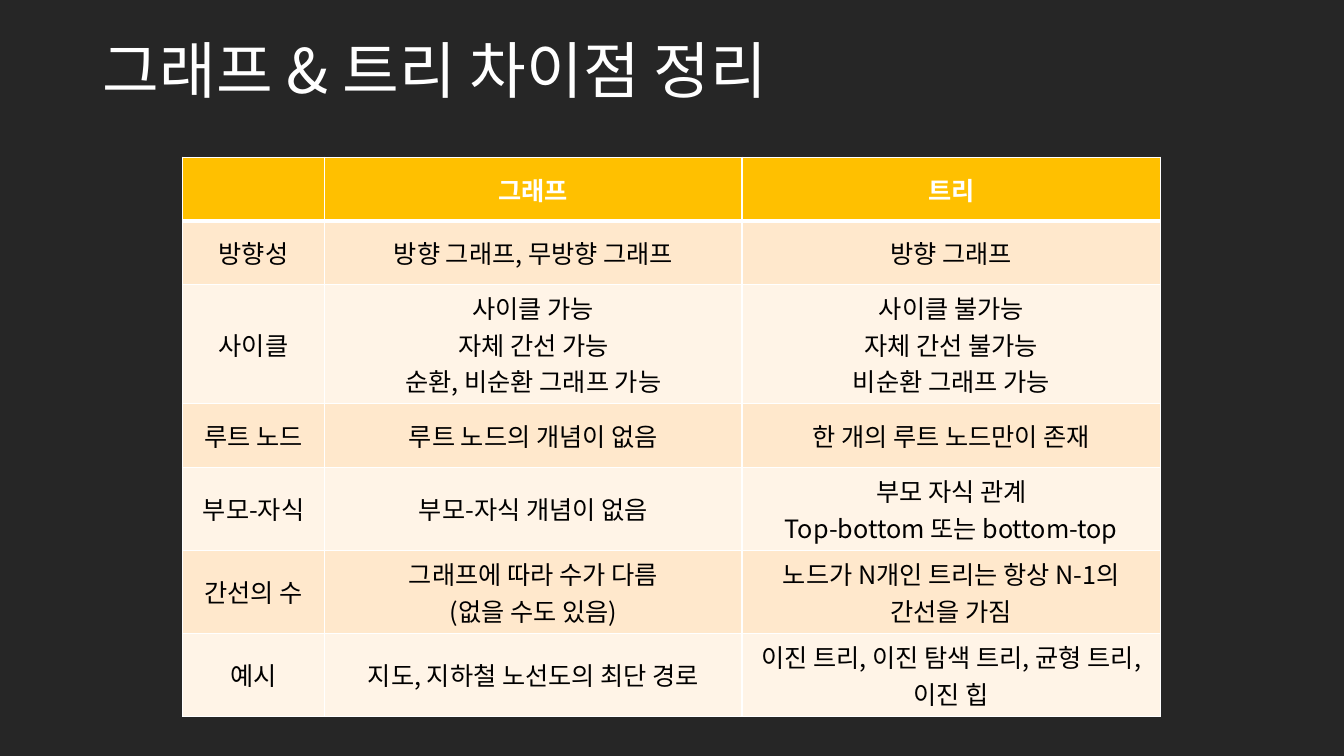
from lxml import etree
from pptx import Presentation
from pptx.dml.color import RGBColor
from pptx.enum.text import MSO_ANCHOR, PP_ALIGN
from pptx.oxml.ns import qn
from pptx.util import Inches, Pt

MIDDLE = MSO_ANCHOR.MIDDLE
LEFT, CENTER = PP_ALIGN.LEFT, PP_ALIGN.CENTER

FONT = "Noto Sans CJK KR"
BACKGROUND, WHITE, BLACK = "262626", "FFFFFF", "000000"
HEADER_FILL = "FFC000"
BAND_FILLS = ("FFF4E7", "FFE8CC")

TITLE = "그래프 & 트리 차이점 정리"
ROWS = [
    ("", "그래프", "트리"),
    ("방향성", "방향 그래프, 무방향 그래프", "방향 그래프"),
    ("사이클",
     "사이클 가능\n자체 간선 가능\n순환, 비순환 그래프 가능",
     "사이클 불가능\n자체 간선 불가능\n비순환 그래프 가능"),
    ("루트 노드", "루트 노드의 개념이 없음", "한 개의 루트 노드만이 존재"),
    ("부모-자식", "부모-자식 개념이 없음",
     "부모 자식 관계\nTop-bottom 또는 bottom-top"),
    ("간선의 수", "그래프에 따라 수가 다름\n(없을 수도 있음)",
     "노드가 N개인 트리는 항상 N-1의 간선을 가짐"),
    ("예시", "지도, 지하철 노선도의 최단 경로",
     "이진 트리, 이진 탐색 트리, 균형 트리, 이진 힙"),
]
COL_WIDTHS = (1.41, 4.14, 4.15)
ROW_HEIGHT = 0.63


def rgb(value):
    return RGBColor.from_string(value)


def write(tf, text, size=18, color=BLACK, bold=False, align=CENTER, spacing=None):
    """Fill a text frame, one paragraph per line of text."""
    tf.text = text
    for p in tf.paragraphs:
        p.alignment = align
        p.line_spacing = spacing
        for r in p.runs:
            font = r.font
            font.size, font.bold, font.name = Pt(size), bold, FONT
            font.color.rgb = rgb(color)
            ea = etree.SubElement(r._r.get_or_add_rPr(), qn("a:ea"))
            ea.set("typeface", FONT)


def set_borders(cell, **widths):
    """Draw white borders; widths in points by side: L, R, T, B."""
    tc_pr = cell._tc.get_or_add_tcPr()
    for i, side in enumerate("LRTB"):
        ln = etree.Element(qn("a:ln" + side), w=str(Pt(widths.get(side, 1))))
        fill = etree.SubElement(ln, qn("a:solidFill"))
        etree.SubElement(fill, qn("a:srgbClr"), val=WHITE)
        tc_pr.insert(i, ln)


prs = Presentation()
prs.slide_width, prs.slide_height = Inches(13.33), Inches(7.5)
s = prs.slides.add_slide(prs.slide_layouts[5])
s.background.fill.solid()
s.background.fill.fore_color.rgb = rgb(BACKGROUND)

title = s.shapes.title
title.left, title.top = Inches(0.92), Inches(0.18)
title.width, title.height = Inches(11.5), Inches(1.09)
title.text_frame.vertical_anchor = MIDDLE
write(title.text_frame, TITLE, size=44, color=WHITE, align=LEFT, spacing=0.9)

table = s.shapes.add_table(
    len(ROWS), len(COL_WIDTHS), Inches(1.81), Inches(1.56),
    Inches(sum(COL_WIDTHS)), Inches(ROW_HEIGHT * len(ROWS))).table
for column, width in zip(table.columns, COL_WIDTHS):
    column.width = Inches(width)
for i, texts in enumerate(ROWS):
    table.rows[i].height = Inches(ROW_HEIGHT)
    header = i == 0
    for j, text in enumerate(texts):
        cell = table.cell(i, j)
        cell.vertical_anchor = MIDDLE
        cell.fill.solid()
        cell.fill.fore_color.rgb = rgb(HEADER_FILL if header else BAND_FILLS[i % 2])
        set_borders(cell, B=3 if header else 1, T=3 if i == 1 else 1)
        write(cell.text_frame, text, color=WHITE if header else BLACK, bold=header)

prs.save("out.pptx")
